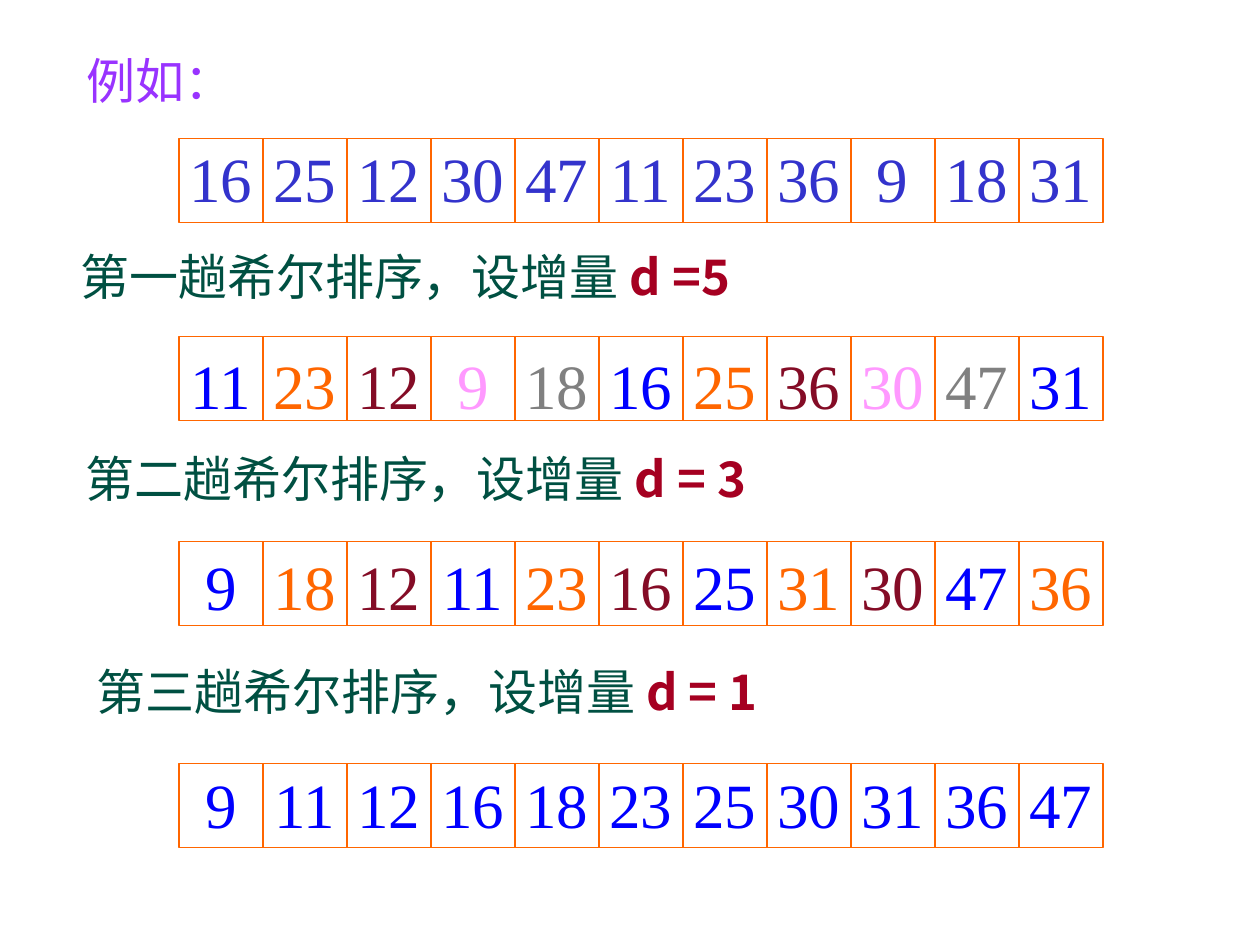
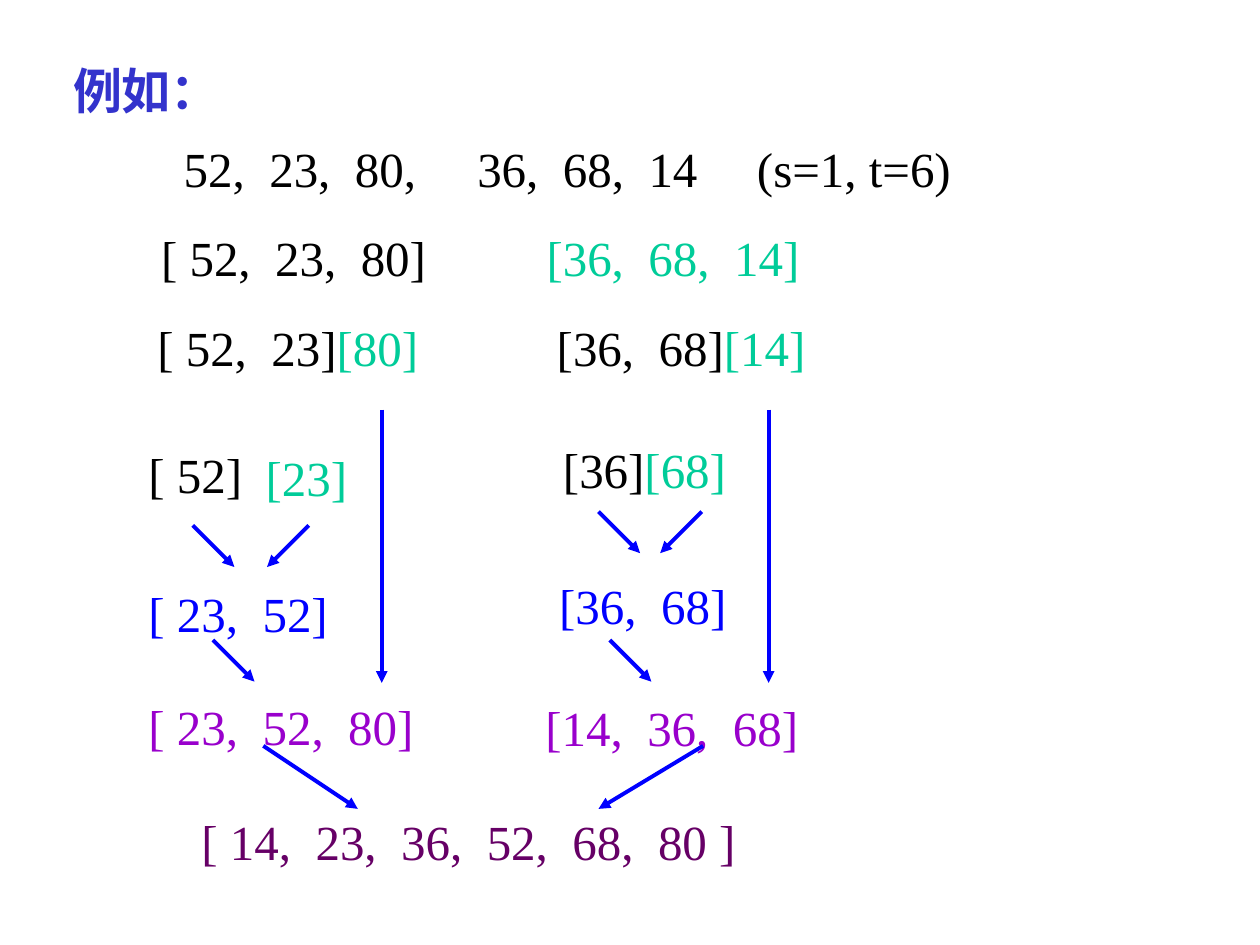
import pptx
import pptx.util
import pptx.dml.color
import pptx.enum.shapes
import pptx.enum.text
import pptx.oxml.ns
from lxml import etree

Inches, Pt = pptx.util.Inches, pptx.util.Pt
RGB = pptx.dml.color.RGBColor
qn = pptx.oxml.ns.qn

SERIF, SANS = "Times New Roman", "Noto Sans CJK SC"
BLACK = RGB(0x00, 0x00, 0x00)
BLUE = RGB(0x00, 0x00, 0xFF)
INDIGO = RGB(0x33, 0x33, 0xCC)
VIOLET = RGB(0x99, 0x33, 0xFF)
PURPLE = RGB(0x99, 0x00, 0xCC)
PLUM = RGB(0x66, 0x00, 0x66)
GREEN = RGB(0x00, 0x50, 0x42)
MINT = RGB(0x00, 0xCC, 0x99)
RED = RGB(0xA5, 0x00, 0x21)
ORANGE = RGB(0xFF, 0x66, 0x00)
MAROON = RGB(0x84, 0x0C, 0x26)
PINK = RGB(0xFF, 0x99, 0xFF)
GREY = RGB(0x80, 0x80, 0x80)
GROUPS = [BLUE, ORANGE, MAROON, PINK, GREY]

# Row of cells
LEFT, CELL, COUNT = 1.42, 2 / 3, 11
INSET = 0.1


def add_run(para, text, color=BLACK, size=28, font=SERIF, bold=False):
    run = para.add_run()
    run.text = text
    run.font.size, run.font.name, run.font.bold = Pt(size), font, bold
    run.font.color.rgb = color
    east = etree.SubElement(run.font._element, qn("a:ea"))
    east.set("typeface", SANS)


def set_tabs(para, stops, align):
    tabs = etree.SubElement(para._p.get_or_add_pPr(), qn("a:tabLst"))
    for stop in stops:
        etree.SubElement(tabs, qn("a:tab"), pos=str(Inches(stop)), algn=align)


def put_text(slide, runs, x, y, w, h=0.57, box=None, tabs=(), align="l", **style):
    """Write runs, each a (text, changed format) pair, in a box."""
    if box is None:
        box = slide.shapes.add_textbox(0, 0, 0, 0)
    box.left, box.top, box.width, box.height = map(Inches, (x, y, w, h))
    frame = box.text_frame
    frame.word_wrap = bool(tabs)
    frame.auto_size = pptx.enum.text.MSO_AUTO_SIZE.NONE
    frame.vertical_anchor = pptx.enum.text.MSO_ANCHOR.TOP
    para = frame.paragraphs[0]
    para.alignment = pptx.enum.text.PP_ALIGN.LEFT
    if tabs:
        set_tabs(para, tabs, align)
    if isinstance(runs, str):
        runs = [(runs, {})]
    for text, change in runs:
        add_run(para, text, **{**style, **change})


def add_line(slide, x1, y1, x2, y2, color, width, arrow=False):
    line = slide.shapes.add_connector(
        pptx.enum.shapes.MSO_CONNECTOR.STRAIGHT, *map(Inches, (x1, y1, x2, y2)))
    line.line.color.rgb, line.line.width = color, Pt(width)
    if arrow:
        etree.SubElement(line.line._get_or_add_ln(), qn("a:tailEnd"), type="triangle")
    etree.SubElement(line._element.spPr, qn("a:effectLst"))


def add_cells(slide, y, nums, colors, text_y):
    """Draw a framed row; the colours repeat along the numbers."""
    frame = slide.shapes.add_shape(
        pptx.enum.shapes.MSO_SHAPE.RECTANGLE,
        *map(Inches, (LEFT, y, CELL * COUNT, CELL)))
    frame.shadow.inherit = False
    frame.fill.background()
    frame.line.color.rgb, frame.line.width = ORANGE, Pt(0.75)
    for i in range(1, COUNT):
        x = LEFT + i * CELL
        add_line(slide, x, y, x, y + CELL, ORANGE, 0.75)
    runs = [(f"\t{num}", {"color": colors[i % len(colors)]})
            for i, num in enumerate(nums)]
    stops = [(i + 0.5) * CELL for i in range(COUNT)]
    put_text(slide, runs, LEFT - INSET, text_y, CELL * COUNT + 2 * INSET, 0.7,
             tabs=stops, align="ctr", size=36)


def add_slide(deck, x, y, **style):
    slide = deck.slides.add_slide(deck.slide_layouts[5])
    put_text(slide, "例如：", x, y, 1.37, box=slide.shapes.title, **style)
    return slide


def shell_sort(deck):
    slide = add_slide(deck, 0.59, 0.35, color=VIOLET)
    # Start and the passes; colours mark the groups of each gap
    rows = [
        (1.1, 1.06, [16, 25, 12, 30, 47, 11, 23, 36, 9, 18, 31], [INDIGO]),
        (2.67, 2.7, [11, 23, 12, 9, 18, 16, 25, 36, 30, 47, 31], GROUPS),
        (4.3, 4.3, [9, 18, 12, 11, 23, 16, 25, 31, 30, 47, 36], GROUPS[:3]),
        (6.06, 6.03, [9, 11, 12, 16, 18, 23, 25, 30, 31, 36, 47], GROUPS[:1]),
    ]
    for y, text_y, nums, colors in rows:
        add_cells(slide, y, nums, colors, text_y)
    # Captions
    for x, y, step, gap in [(0.54, 1.91, "一", "d =5"), (0.58, 3.51, "二", "d = 3"),
                            (0.67, 5.2, "三", "d = 1")]:
        put_text(slide, [(f"第{step}趟希尔排序，设增量 ", {"color": GREEN}),
                         (gap, {"color": RED, "bold": True})],
                 x, y, 5.65, font=SANS)


def merge_sort(deck):
    slide = add_slide(deck, 0.48, 0.43, color=INDIGO, bold=True)
    mint = {"color": MINT}
    # Input and first split
    put_text(slide, "52,  23,  80,\t36,  68,  14\t(s=1, t=6)", 1.36, 1.05, 6.6,
             tabs=[2.33, 4.55])
    put_text(slide, [("[ 52,  23,  80]\t", {}), ("[36,  68,  14]", mint)],
             1.18, 1.76, 5.5, tabs=[3.06])
    # Further splits
    put_text(slide, [("[ 52,  23]", {}), ("[80]", mint)], 1.15, 2.47, 2.28)
    put_text(slide, [("[36,  68]", {}), ("[14]", mint)], 4.32, 2.47, 2.18)
    put_text(slide, "[ 52]", 1.08, 3.48, 1.25)
    put_text(slide, "[23]", 2.01, 3.5, 0.85, color=MINT)
    put_text(slide, [("[36]", {}), ("[68]", mint)], 4.37, 3.44, 1.5)
    # Merges
    for text, x, y, w, color in [
        ("[ 23,  52]", 1.08, 4.58, 1.63, BLUE),
        ("[36,  68]", 4.34, 4.52, 1.53, BLUE),
        ("[ 23,  52,  80]", 1.08, 5.48, 2.31, PURPLE),
        ("[14,  36,  68]", 4.23, 5.49, 2.21, PURPLE),
        ("[ 14,  23,  36,  52,  68,  80 ]", 1.5, 6.39, 4.45, PLUM),
    ]:
        put_text(slide, text, x, y, w, color=color)
    # Arrows: start, then run and drop
    for x, y, run, drop in [
        (1.53, 4.17, 0.33, 0.33), (2.45, 4.17, -0.33, 0.33),
        (4.75, 4.06, 0.33, 0.33), (5.57, 4.06, -0.33, 0.33),
        (1.69, 5.08, 0.33, 0.33), (4.84, 5.08, 0.33, 0.33),
        (3.03, 3.25, 0, 2.17), (6.1, 3.25, 0, 2.17),
        (2.09, 5.92, 0.75, 0.5), (5.58, 5.92, -0.83, 0.5),
    ]:
        add_line(slide, x, y, x + run, y + drop, BLUE, 2.25, arrow=True)


def main():
    deck = pptx.Presentation()
    deck.slide_width, deck.slide_height = Inches(10), Inches(7.5)
    shell_sort(deck)
    merge_sort(deck)
    deck.save("out.pptx")


if __name__ == "__main__":
    main()
